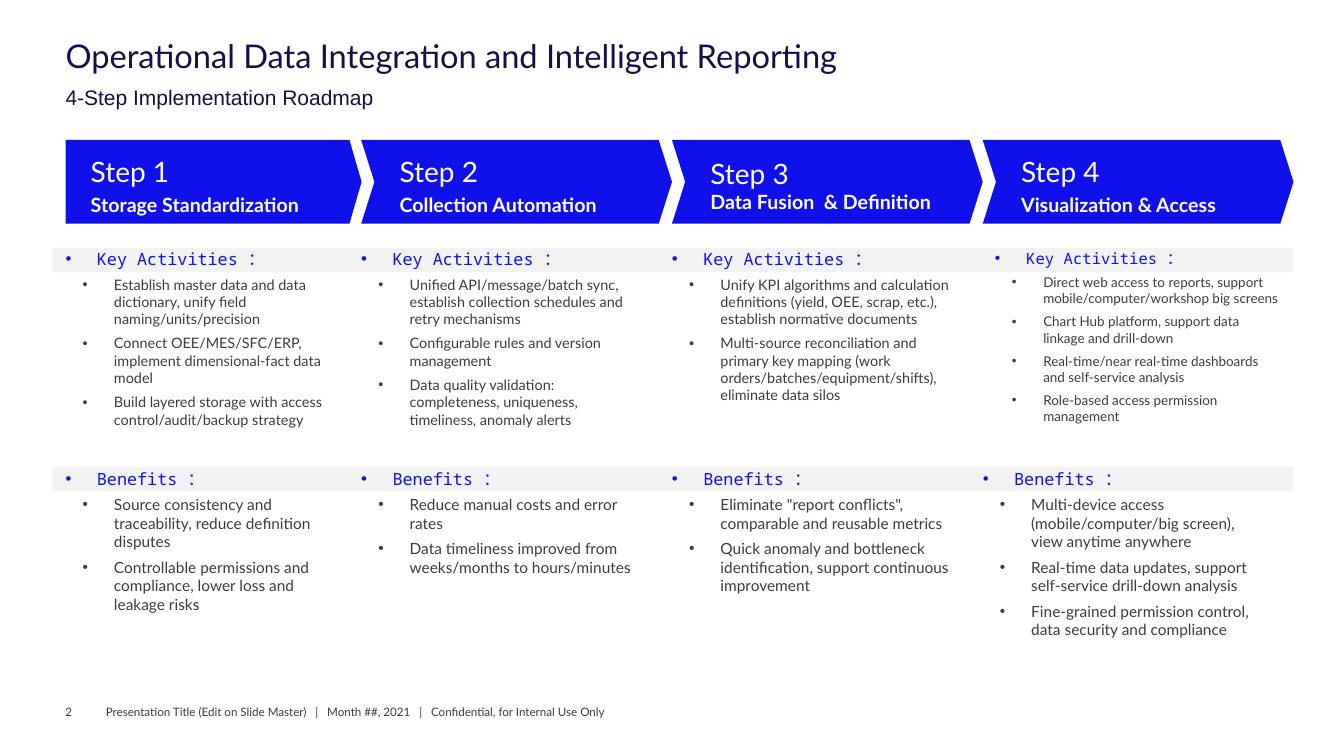
from lxml import etree
from pptx import Presentation
from pptx.dml import color
from pptx.enum import shapes, text
from pptx.oxml import ns
from pptx.util import Pt

BLUE, NAVY, GREY, BAND, WHITE = "1010EB", "140F4B", "3C3C3C", "F2F2F2", "FFFFFF"
LEFT, PITCH, LAST_COLUMN = 46.8, 222, 702
FOOTER = ("Presentation Title (Edit on Slide Master)   |   Month ##, 2021   |   "
          "Confidential, for Internal Use Only")
STEPS = [
    ("Storage Standardization",
     ["Establish master data and data dictionary, unify field naming/units/precision",
      "Connect OEE/MES/SFC/ERP, implement dimensional-fact data model",
      "Build layered storage with access control/audit/backup strategy"],
     ["Source consistency and traceability, reduce definition disputes",
      "Controllable permissions and compliance, lower loss and leakage risks"]),
    ("Collection Automation",
     ["Unified API/message/batch sync, establish collection schedules and retry mechanisms",
      "Configurable rules and version management",
      "Data quality validation: completeness, uniqueness, timeliness, anomaly alerts"],
     ["Reduce manual costs and error rates",
      "Data timeliness improved from weeks/months to hours/minutes"]),
    ("Data Fusion  & Definition",
     ["Unify KPI algorithms and calculation definitions (yield, OEE, scrap, etc.), "
      "establish normative documents",
      "Multi-source reconciliation and primary key mapping (work "
      "orders/batches/equipment/shifts), eliminate data silos"],
     ['Eliminate "report conflicts", comparable and reusable metrics',
      "Quick anomaly and bottleneck identification, support continuous improvement"]),
    ("Visualization & Access",
     ["Direct web access to reports, support mobile/computer/workshop big screens",
      "Chart Hub platform, support data linkage and drill-down",
      "Real-time/near real-time dashboards and self-service analysis",
      "Role-based access permission management"],
     ["Multi-device access (mobile/computer/big screen), view anytime anywhere",
      "Real-time data updates, support self-service drill-down analysis",
      "Fine-grained permission control, data security and compliance"]),
]


def rgb(value):
    """Turn a hex string into a colour."""
    return color.RGBColor.from_string(value)


def set_frame(frame, insets=(0, 0, 0, 0), anchor=text.MSO_ANCHOR.TOP):
    """Wrap a text frame and set its insets and anchor."""
    frame.word_wrap = True
    frame.auto_size = text.MSO_AUTO_SIZE.NONE
    frame.vertical_anchor = anchor
    frame.margin_left, frame.margin_top, frame.margin_right, frame.margin_bottom = map(Pt, insets)


def style(para, size, tone, font="Lato", bold=False):
    """Left-align a paragraph and format its runs."""
    para.alignment = text.PP_ALIGN.LEFT
    for span in para.runs:
        span.font.size, span.font.name, span.font.bold = Pt(size), font, bold
        span.font.color.rgb = rgb(tone)


def add_bullet(para, margin):
    """Give a paragraph a round bullet and a hanging indent."""
    properties = para._p.get_or_add_pPr()
    properties.set("marL", str(Pt(margin)))
    properties.set("indent", str(Pt(-22.4)))
    etree.SubElement(properties, ns.qn("a:buFont")).set("typeface", "Arial")
    etree.SubElement(properties, ns.qn("a:buChar")).set("char", "•")


def add_line(page, box, content, size, tone, font="Lato", insets=(0, 0, 0, 0),
             anchor=text.MSO_ANCHOR.TOP):
    """Place one line of text in a box."""
    frame = page.shapes.add_textbox(*map(Pt, box)).text_frame
    set_frame(frame, insets, anchor)
    frame.text = content
    style(frame.paragraphs[0], size, tone, font)


def add_header(page, box):
    """Place the title and, below it, the subtitle."""
    left, top, width, height = box
    title = page.shapes.title
    title.left, title.top, title.width, title.height = map(Pt, (left, top, width, 26))
    set_frame(title.text_frame)
    title.text_frame.text = "Operational Data Integration and Intelligent Reporting"
    para = title.text_frame.paragraphs[0]
    para.line_spacing = 0.9
    style(para, 23.3, NAVY)
    add_line(page, (left, top + 28, width, height - 28), "4-Step Implementation Roadmap",
             15, NAVY, "Arial", (0, 3.6, 0, 3.6))


def add_block(page, kind, box, fill):
    """Add a flat filled shape without an outline."""
    shape = page.shapes.add_shape(kind, *map(Pt, box))
    shape.shadow.inherit = False
    shape.fill.solid()
    shape.fill.fore_color.rgb = rgb(fill)
    shape.line.fill.background()
    return shape


def add_step(page, box, number, name):
    """Draw one arrow of the roadmap with its number and name."""
    first = number == 1
    kind = shapes.MSO_SHAPE.PENTAGON if first else shapes.MSO_SHAPE.CHEVRON
    arrow = add_block(page, kind, box, BLUE)
    arrow.adjustments[0] = 0.145 if first else 0.158
    set_frame(arrow.text_frame, (18, 5.8, 7.2, 5.8), text.MSO_ANCHOR.MIDDLE)
    arrow.text_frame.text = f"Step {number}\n{name}"
    heading, label = arrow.text_frame.paragraphs
    heading.line_spacing = 1.2
    label.line_spacing = 1.0 if number == 3 else 1.2
    style(heading, 20, WHITE)
    style(label, 14, WHITE, bold=True)


def add_list(page, box, heading, items, heading_size, item_size):
    """Place a bulleted heading and its indented items."""
    frame = page.shapes.add_textbox(*map(Pt, box)).text_frame
    set_frame(frame)
    frame.text = "\n".join([heading, *items])
    for index, para in enumerate(frame.paragraphs):
        add_bullet(para, 34.6 if index else 22.4)
        if index:
            para.level = 1
            para.space_before = Pt(5)
            style(para, item_size, GREY)
        else:
            style(para, heading_size, BLUE, "Noto Sans Mono")


def add_roadmap(page, box):
    """Draw the bands, arrows and lists of all steps."""
    left, top, width, height = box
    activities_top, benefits_top = top + 77.5, top + 234.5
    for band_top in (activities_top - 0.5, benefits_top - 1):
        add_block(page, shapes.MSO_SHAPE.RECTANGLE, (left - 9.4, band_top, width + 9.4, 17.4), BAND)
    for number, (name, activities, benefits) in enumerate(STEPS, 1):
        column = left if number == 1 else LAST_COLUMN - PITCH * (4 - number)
        arrow_width = 211.5 if number == 1 else PITCH
        add_step(page, (column, top, arrow_width, 59.8), number, name)
        shift, sizes = (8.6, (11.1, 9.6)) if number == 4 else (0, (12, 10.3))
        add_list(page, (column + shift, activities_top, 202.3, 147.6),
                 "Key Activities ：", activities, *sizes)
        add_list(page, (column, benefits_top, 202.3, 147.6), "Benefits ：", benefits, 12, 11)


def add_footer(page, box):
    """Place the page number and the footer line."""
    left, top, width, height = box
    bottom = text.MSO_ANCHOR.BOTTOM
    add_line(page, (left, top, 20, height), "2", 8.3, GREY, anchor=bottom)
    add_line(page, (left + 28.8, top, width - 28.8, height), FOOTER, 8.3, GREY, anchor=bottom)


def main():
    """Build the slide and save the deck."""
    deck = Presentation()
    deck.slide_width, deck.slide_height = Pt(960), Pt(540)
    page = deck.slides.add_slide(deck.slide_layouts[5])
    add_header(page, (LEFT, 28.8, 866, 53.3))
    add_roadmap(page, (LEFT, 100, 877.2, 382))
    add_footer(page, (LEFT, 503.3, 719.3, 10))
    deck.save("out.pptx")


if __name__ == "__main__":
    main()
